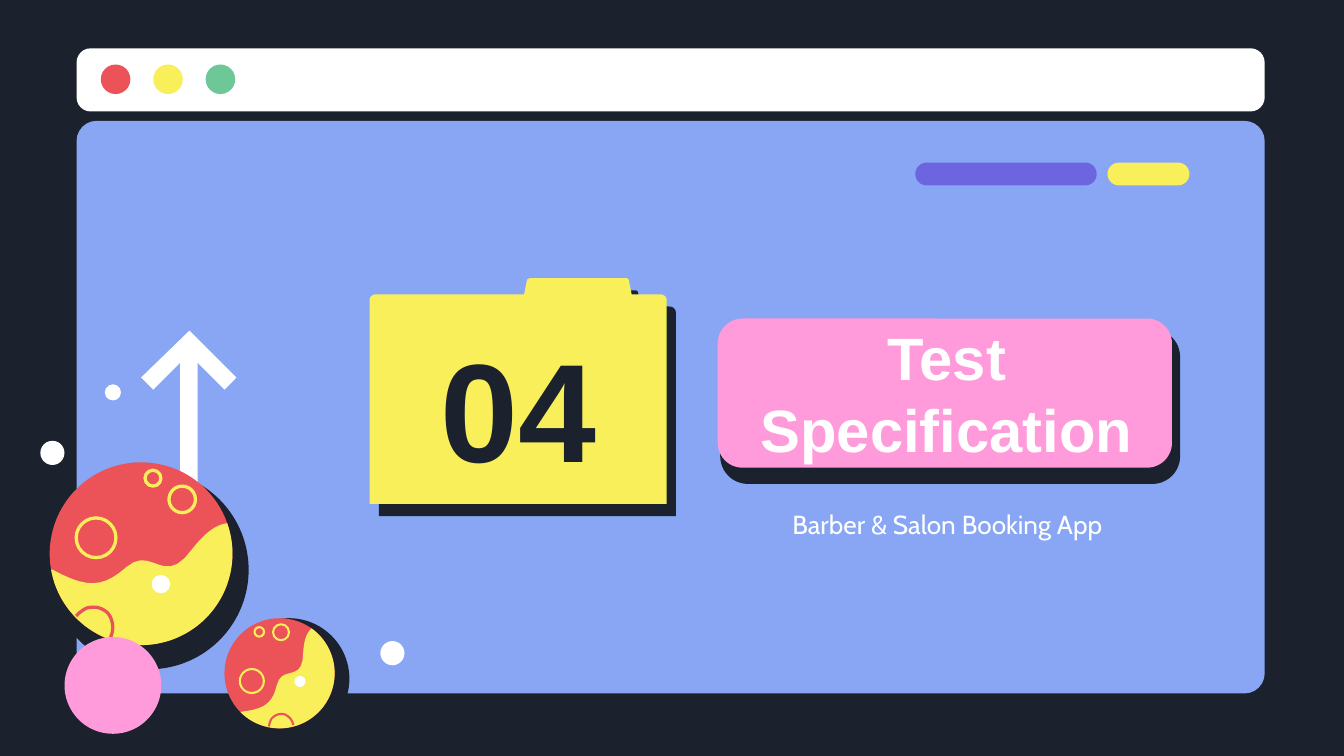
from dataclasses import dataclass
from math import cos, radians, sin

from lxml.etree import SubElement
from pptx import Presentation
from pptx.dml.color import RGBColor
from pptx.enum.shapes import MSO_SHAPE as Shape
from pptx.enum.text import MSO_ANCHOR as Anchor, MSO_AUTO_SIZE as AutoSize, PP_ALIGN as Align
from pptx.oxml.ns import qn
from pptx.util import Inches, Pt


@dataclass(frozen=True)
class Theme:
    dark: str = "1B222D"
    white: str = "FFFFFF"
    blue: str = "88A6F3"
    red: str = "EB5358"
    yellow: str = "F8EF5B"
    green: str = "6DC797"
    purple: str = "6D65E0"
    pink: str = "FF9BDA"
    heading: str = "Arial"
    body: str = "Cabin"
    number_size: int = 75
    title_size: int = 32
    subtitle_size: int = 14


T = Theme()

# Planet artwork, in inches from the centre of a planet of this radius
PLANET_RADIUS = 0.69
WAVE = ((-0.67, 0.12), [
    ((-0.41, 0.26), (-0.29, 0.26), (-0.11, 0.1)),
    ((0.09, -0.07), (0.17, 0.27), (0.39, -0.04)),
    ((0.5, -0.18), (0.58, -0.22), (0.65, -0.23)),
])
CRATER_EDGE = ((-0.23, 0.63), [
    ((-0.21, 0.59), (-0.21, 0.54), (-0.22, 0.51)),
    ((-0.23, 0.47), (-0.25, 0.44), (-0.29, 0.42)),
    ((-0.33, 0.4), (-0.37, 0.4), (-0.41, 0.41)),
    ((-0.45, 0.43), (-0.47, 0.45), (-0.49, 0.47)),
])
RINGS = [(-0.34, -0.12, 0.15), (0.31, -0.41, 0.1), (0.09, -0.57, 0.06)]
SPOT = (0.15, 0.23, 0.07)

FOLDER = ((4.96, 2.23), [
    ((4.96, 3.75),), ((2.75, 3.75),), ((2.75, 2.23),),
    ((2.75, 2.21), (2.77, 2.19), (2.8, 2.19)),
    ((3.9, 2.19),), ((3.92, 2.09),),
    ((3.92, 2.08), (3.93, 2.07), (3.95, 2.07)),
    ((4.66, 2.07),),
    ((4.67, 2.07), (4.68, 2.08), (4.68, 2.09)),
    ((4.7, 2.19),), ((4.91, 2.19),),
    ((4.94, 2.19), (4.96, 2.21), (4.96, 2.23)),
])
ARROW = [(1.34, 4.29), (1.34, 2.7), (1.14, 2.9), (1.05, 2.81), (1.41, 2.46),
         (1.76, 2.81), (1.67, 2.9), (1.47, 2.7), (1.47, 4.29)]


def rgb(color):
    return RGBColor.from_string(color)


def paint(sp, fill=None, line=None, width=1):
    sp.shadow.inherit = False
    if fill:
        sp.fill.solid()
        sp.fill.fore_color.rgb = rgb(fill)
    else:
        sp.fill.background()
    if line:
        sp.line.color.rgb = rgb(line)
        sp.line.width = Pt(width)
    else:
        sp.line.fill.background()
    return sp


def add_box(s, x, y, w, h, fill, adj, **outline):
    sp = s.shapes.add_shape(Shape.ROUNDED_RECTANGLE, *map(Inches, (x, y, w, h)))
    sp.adjustments[0] = adj
    return paint(sp, fill, **outline)


def add_circle(s, cx, cy, radius, fill=None, **outline):
    box = (cx - radius, cy - radius, 2 * radius, 2 * radius)
    return paint(s.shapes.add_shape(Shape.OVAL, *map(Inches, box)), fill, **outline)


def add_outline(s, points, fill=None, close=True, **outline):
    first, *rest = [(Inches(x), Inches(y)) for x, y in points]
    builder = s.shapes.build_freeform(*first)
    builder.add_line_segments(rest, close=close)
    return paint(builder.convert_to_shape(), fill, **outline)


def trace(start, segments, steps=10):
    """Return points along lines (one point) and cubic curves (three points)."""
    points = [start]
    for segment in segments:
        if len(segment) == 1:
            points += segment
            continue
        knots = (points[-1], *segment)
        for t in (i / steps for i in range(1, steps + 1)):
            weights = ((1 - t) ** 3, 3 * t * (1 - t) ** 2, 3 * t * t * (1 - t), t ** 3)
            points.append(tuple(sum(w * k[axis] for w, k in zip(weights, knots))
                                for axis in (0, 1)))
    return points


def add_planet(s, cx, cy, radius, turn, shadow, ring_width):
    """Draw the planet artwork scaled to radius and turned by degrees."""
    scale, angle = radius / PLANET_RADIUS, radians(turn)

    def place(x, y):
        return (cx + scale * (x * cos(angle) - y * sin(angle)),
                cy + scale * (x * sin(angle) + y * cos(angle)))

    add_circle(s, *shadow, T.dark)
    add_circle(s, cx, cy, radius, T.red)
    rim = [(PLANET_RADIUS * cos(radians(a)), PLANET_RADIUS * sin(radians(a)))
           for a in range(-19, 171, 3)]
    add_outline(s, [place(*p) for p in trace(*WAVE) + rim], T.yellow)
    add_outline(s, [place(*p) for p in trace(*CRATER_EDGE)], close=False,
                line=T.red, width=ring_width)
    for x, y, r in RINGS:
        add_circle(s, *place(x, y), r * scale, line=T.yellow, width=ring_width)
    x, y, r = SPOT
    add_circle(s, *place(x, y), r * scale, T.white)


def add_hard_shadow(sp, color, distance, direction):
    effects = sp.element.spPr.find(qn("a:effectLst"))
    shadow = SubElement(effects, qn("a:outerShdw"), dist=str(Pt(distance)),
                        dir=str(direction * 60000), algn="bl", rotWithShape="0")
    SubElement(shadow, qn("a:srgbClr"), val=color)


def set_text(sp, text, size, font, color, bold=False, anchor=Anchor.MIDDLE):
    tf = sp.text_frame
    frame = dict(word_wrap=True, auto_size=AutoSize.NONE, vertical_anchor=anchor)
    margins = {f"margin_{side}": Inches(0.1) for side in ("left", "right", "top", "bottom")}
    for name, value in {**frame, **margins}.items():
        setattr(tf, name, value)
    p = tf.paragraphs[0]
    p.alignment = Align.CENTER
    r = p.add_run()
    r.text = text
    for name, value in dict(size=Pt(size), name=font, bold=bold).items():
        setattr(r.font, name, value)
    r.font.color.rgb = rgb(color)


def add_text(s, x, y, w, h, text, *style, **options):
    set_text(s.shapes.add_textbox(*map(Inches, (x, y, w, h))), text, *style, **options)


def add_title(s, x, y, w, h, text, *style, **options):
    sp = s.shapes.title
    sp.element.getparent().append(sp.element)
    for name, value in dict(left=x, top=y, width=w, height=h).items():
        setattr(sp, name, Inches(value))
    set_text(sp, text, *style, **options)


def add_window(s):
    add_box(s, 0.57, 0.9, 8.84, 4.26, T.blue, 0.035)
    add_box(s, 0.57, 0.36, 8.84, 0.47, T.white, 0.223)
    for i, color in enumerate((T.red, T.yellow, T.green)):
        add_circle(s, 0.86 + 0.39 * i, 0.59, 0.11, color)
    add_box(s, 6.81, 1.21, 1.35, 0.17, T.purple, 0.5)
    add_box(s, 8.24, 1.21, 0.61, 0.17, T.yellow, 0.5)


def main():
    prs = Presentation()
    prs.slide_width, prs.slide_height = Inches(10), Inches(10 * 9 / 16)
    s = prs.slides.add_slide(prs.slide_layouts[5])
    s.background.fill.solid()
    s.background.fill.fore_color.rgb = rgb(T.dark)

    add_window(s)
    add_outline(s, ARROW, T.white)
    add_box(s, 5.38, 2.47, 3.38, 1.11, T.dark, 0.167, line=T.dark, width=3)
    add_box(s, 5.34, 2.37, 3.38, 1.11, T.pink, 0.167)
    folder = add_outline(s, trace(*FOLDER), T.yellow)
    add_hard_shadow(folder, T.dark, 8.2, 53)

    add_text(s, 3.01, 2.53, 1.7, 0.99, "04", T.number_size, T.heading, T.dark, bold=True)
    add_title(s, 5.26, 2.46, 3.57, 0.92, "Test Specification",
              T.title_size, T.heading, T.white, bold=True)
    add_text(s, 5.7, 3.68, 2.7, 0.69, "Barber & Salon Booking App",
             T.subtitle_size, T.body, T.white, anchor=Anchor.TOP)

    add_planet(s, 1.05, 4.12, 0.68, 0, shadow=(1.11, 4.24, 0.74), ring_width=1.75)
    add_circle(s, 0.84, 5.1, 0.36, T.pink)
    add_planet(s, 2.08, 5.01, 0.41, -35, shadow=(2.15, 5.05, 0.45), ring_width=1.1)
    for x, y, radius in ((0.39, 3.37, 0.09), (2.92, 4.86, 0.09), (0.84, 2.92, 0.06)):
        add_circle(s, x, y, radius, T.white)
    prs.save("out.pptx")


if __name__ == "__main__":
    main()
